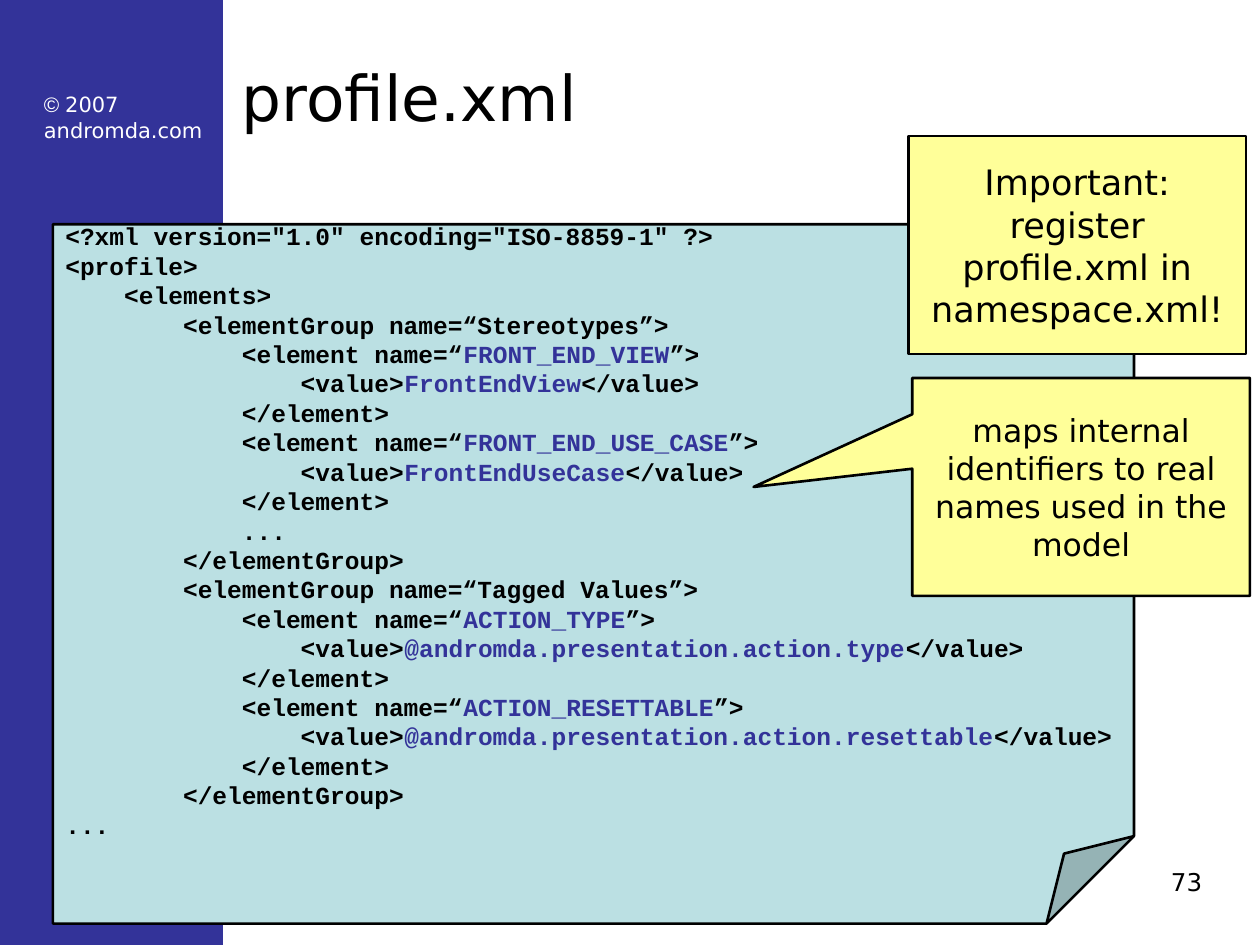
from lxml import etree
from pptx import Presentation
from pptx.dml.color import RGBColor
from pptx.enum.shapes import MSO_SHAPE
from pptx.enum.text import MSO_ANCHOR, PP_ALIGN
from pptx.oxml.ns import qn
from pptx.util import Inches, Pt

INDIGO = RGBColor(0x33, 0x33, 0x99)
PALE_TEAL = RGBColor(0xBB, 0xE0, 0xE3)
PALE_YELLOW = RGBColor(0xFF, 0xFF, 0x99)
BLACK = RGBColor(0, 0, 0)
WHITE = RGBColor(0xFF, 0xFF, 0xFF)

SANS = "DejaVu Sans"
MONOSPACE = "Courier New"
BLANK_LAYOUT = 6
RECTANGLE = MSO_SHAPE.RECTANGLE
FOLDED_CORNER = MSO_SHAPE.FOLDED_CORNER
CALLOUT = MSO_SHAPE.RECTANGULAR_CALLOUT
TOP, MIDDLE = MSO_ANCHOR.TOP, MSO_ANCHOR.MIDDLE
LEFT, CENTER, RIGHT = PP_ALIGN.LEFT, PP_ALIGN.CENTER, PP_ALIGN.RIGHT

# Bars enclose the highlighted part of a line.
PROFILE_CODE = """\
<?xml version="1.0" encoding="ISO-8859-1" ?>
<profile>
    <elements>
        <elementGroup name=“Stereotypes”>
            <element name=“|FRONT_END_VIEW|”>
                <value>|FrontEndView|</value>
            </element>
            <element name=“|FRONT_END_USE_CASE|”>
                <value>|FrontEndUseCase|</value>
            </element>
            ...
        </elementGroup>
        <elementGroup name=“Tagged Values”>
            <element name=“|ACTION_TYPE|”>
                <value>|@andromda.presentation.action.type|</value>
            </element>
            <element name=“|ACTION_RESETTABLE|”>
                <value>|@andromda.presentation.action.resettable|</value>
            </element>
        </elementGroup>
..."""


def add_run(paragraph, text, size, color=BLACK, font_name=SANS, bold=False):
    run = paragraph.add_run()
    run.text = text
    run.font.size = Pt(size)
    run.font.name = font_name
    run.font.bold = bold
    run.font.color.rgb = color


def add_filled_shape(slide, kind, box, fill, outlined=True):
    shape = slide.shapes.add_shape(kind, *map(Inches, box))
    shape.shadow.inherit = False
    shape.fill.solid()
    shape.fill.fore_color.rgb = fill
    if outlined:
        shape.line.color.rgb = BLACK
        shape.line.width = Pt(1.5)
    else:
        shape.line.fill.background()
    return shape


def first_paragraph(shape, anchor, alignment):
    """Set up the text frame and return its first paragraph."""
    frame = shape.text_frame
    frame.word_wrap = True
    frame.vertical_anchor = anchor
    paragraph = frame.paragraphs[0]
    paragraph.alignment = alignment
    return paragraph


def add_text_box(slide, box, anchor=TOP, alignment=LEFT):
    """Add an empty text box and return its first paragraph."""
    text_box = slide.shapes.add_textbox(*map(Inches, box))
    return first_paragraph(text_box, anchor, alignment)


def add_sidebar(slide):
    add_filled_shape(slide, RECTANGLE, (0, 0, 1.77, 7.5), INDIGO, outlined=False)
    paragraph = add_text_box(slide, (0.25, 0.68, 1.58, 0.5))
    add_run(paragraph, "© ", 12, WHITE, "Arial")
    add_run(paragraph, "2007", 12, WHITE)
    paragraph.add_line_break()
    add_run(paragraph, "andromda.com", 12, WHITE)


def set_fold_size(note, thousandths):
    """Set the fold in XML, as python-pptx lists no adjustment for this preset."""
    adjustments = next(note.element.iter(qn("a:avLst")))
    etree.SubElement(adjustments, qn("a:gd"), name="adj", fmla=f"val {thousandths * 100}")


def add_code_note(slide, box, code):
    note = add_filled_shape(slide, FOLDED_CORNER, box, PALE_TEAL)
    set_fold_size(note, 125)
    paragraph = first_paragraph(note, MIDDLE, LEFT)
    note.text_frame.word_wrap = False
    for line_number, line in enumerate(code.splitlines()):
        if line_number:
            paragraph = note.text_frame.add_paragraph()
            paragraph.alignment = LEFT
        for part_number, part in enumerate(line.split("|")):
            color = INDIGO if part_number % 2 else BLACK
            add_run(paragraph, part, 14, color, MONOSPACE, bold=True)


def add_callout(slide, left, top, tip, text, size):
    callout = add_filled_shape(slide, CALLOUT, (left, top, 2.68, 1.73), PALE_YELLOW)
    callout.adjustments[0], callout.adjustments[1] = tip
    add_run(first_paragraph(callout, MIDDLE, CENTER), text, size)


def main():
    presentation = Presentation()
    presentation.slide_width = Inches(10)
    presentation.slide_height = Inches(7.5)
    slide = presentation.slides.add_slide(presentation.slide_layouts[BLANK_LAYOUT])

    add_sidebar(slide)
    add_run(add_text_box(slide, (1.82, 0.14, 8.14, 1.25), MIDDLE), "profile.xml", 36)
    add_code_note(slide, (0.42, 1.78, 8.58, 5.55), PROFILE_CODE)
    add_callout(slide, 7.21, 1.08, (-0.5, -0.11),
                "Important: register profile.xml in namespace.xml!", 20)
    add_callout(slide, 7.24, 3, (-0.97, 0),
                "maps internal identifiers to real names used in the model", 18)
    add_run(add_text_box(slide, (7.11, 6.83, 2.53, 0.52), alignment=RIGHT), "73", 14)

    presentation.save("out.pptx")


if __name__ == "__main__":
    main()
